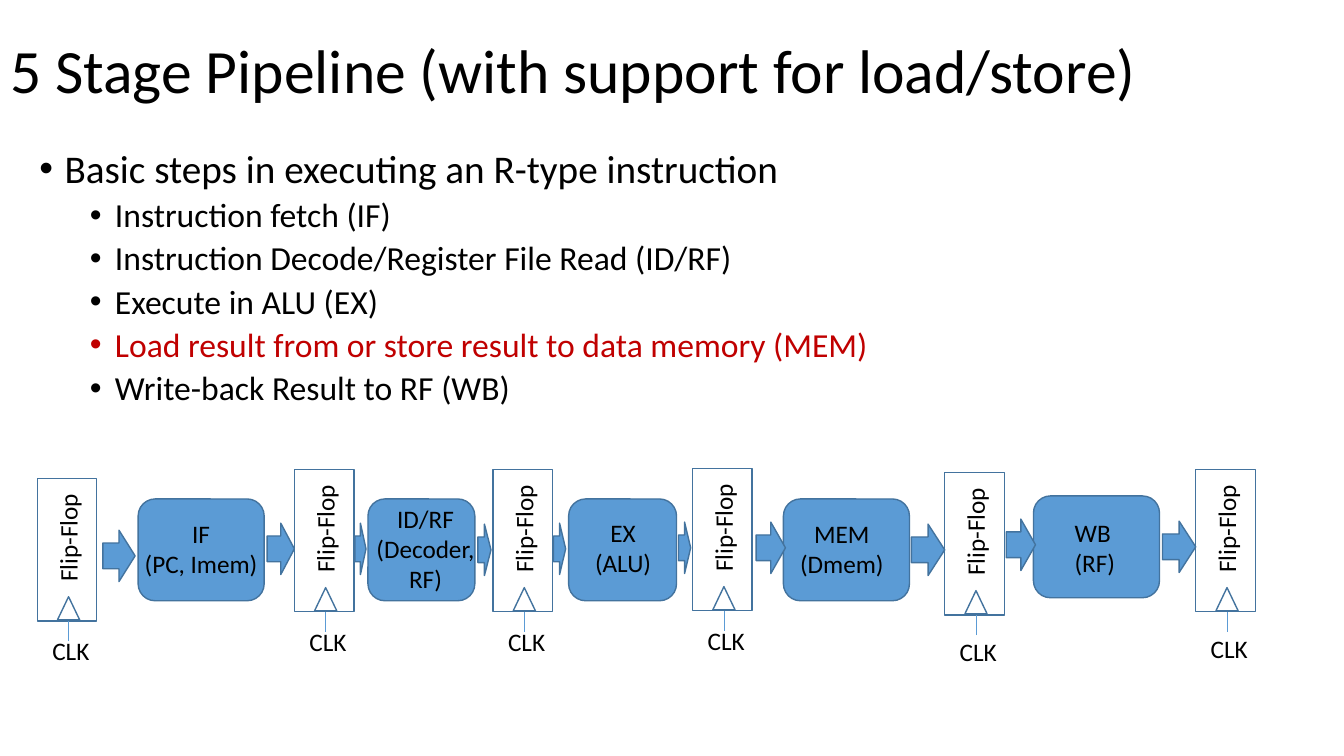
from typing import NamedTuple

from lxml import etree
from pptx import Presentation, util as u
from pptx.dml.color import RGBColor
from pptx.enum import shapes, text
from pptx.oxml.ns import qn

BLACK, RED, BLUE, EDGE = "000000", "C00000", "5B9BD5", "43739E"
FLOP_WIDTH, FLOP_HEIGHT = 0.59, 1.41
STAGE_HEIGHT, ARROW_HEIGHT, WIRE_LENGTH = 1.01, 0.51, 0.2
CENTER, LEFT = text.PP_ALIGN.CENTER, text.PP_ALIGN.LEFT


class Box(NamedTuple):
    left: float
    top: float
    width: float
    height: float


class Stage(NamedTuple):
    left: float
    top: float
    width: float
    lines: list[str]
    label: Box
    align: text.PP_ALIGN = CENTER
    wrap: bool = False


class Flop(NamedTuple):
    left: float
    top: float
    clock_top: float


class Arrow(NamedTuple):
    left: float
    top: float
    width: float


class Step(NamedTuple):
    wording: str
    level: int = 1
    color: str = BLACK


STEPS = [
    Step("Basic steps in executing an R-type instruction", level=0),
    Step("Instruction fetch (IF)"),
    Step("Instruction Decode/Register File Read (ID/RF)"),
    Step("Execute in ALU (EX)"),
    Step("Load result from or store result to data memory (MEM)", color=RED),
    Step("Write-back Result to RF (WB)"),
]
STAGES = [
    Stage(1.37, 4.95, 1.25, ["IF", "(PC, Imem)"], Box(1.33, 5.09, 1.33, 0.71)),
    Stage(3.65, 4.95, 1.06, ["ID/RF", "(Decoder, RF)"],
          Box(3.61, 4.94, 1.22, 1.01), wrap=True),
    Stage(5.64, 4.95, 1.07, ["EX", "(ALU)"], Box(5.8, 5.08, 0.76, 0.71)),
    Stage(7.77, 4.95, 1.25, ["MEM", "(Dmem)"], Box(7.83, 5.09, 1.04, 0.71)),
    Stage(10.25, 4.92, 1.25, ["WB", "(RF)"], Box(10.56, 5.08, 0.61, 0.71), LEFT),
]
FLOPS = [
    Flop(0.37, 4.75, 6.25), Flop(2.92, 4.66, 6.16), Flop(4.89, 4.66, 6.16),
    Flop(6.87, 4.65, 6.15), Flop(9.37, 4.69, 6.26), Flop(11.86, 4.66, 6.23),
]
ARROWS = [
    Arrow(1.02, 5.26, 0.32), Arrow(2.65, 5.19, 0.27), Arrow(3.52, 5.19, 0.11),
    Arrow(4.74, 5.2, 0.13), Arrow(5.49, 5.19, 0.12), Arrow(6.73, 5.18, 0.12),
    Arrow(7.5, 5.18, 0.29), Arrow(9.04, 5.2, 0.33), Arrow(9.98, 5.15, 0.29),
    Arrow(11.53, 5.17, 0.33),
]


def rgb(value: str) -> RGBColor:
    return RGBColor.from_string(value)


def apply(target, formats: dict) -> None:
    for attribute, value in formats.items():
        setattr(target, attribute, value)


def inches(box: Box) -> list[u.Length]:
    return [u.Inches(length) for length in box]


def style_font(font, size: float, color: str = BLACK) -> None:
    apply(font, {"name": "Calibri", "size": u.Pt(size), "bold": False})
    font.color.rgb = rgb(color)


def place(holder, box: Box) -> None:
    apply(holder, dict(zip(("left", "top", "width", "height"), inches(box))))


def add_part(slide, preset, box: Box, fill: str | None = None) -> None:
    part = slide.shapes.add_shape(preset, *inches(box))
    part.shadow.inherit = False
    if fill:
        part.fill.solid()
        part.fill.fore_color.rgb = rgb(fill)
    else:
        part.fill.background()
    part.line.color.rgb = rgb(EDGE)
    part.line.width = u.Pt(1)


def add_label(slide, lines: list[str], box: Box, align=LEFT,
              wrap: bool = False, rotation: float = 0) -> None:
    label = slide.shapes.add_textbox(*inches(box))
    label.rotation = rotation
    frame = label.text_frame
    frame.text = "\n".join(lines)
    apply(frame, {"word_wrap": wrap,
                  "auto_size": text.MSO_AUTO_SIZE.SHAPE_TO_FIT_TEXT})
    for paragraph in frame.paragraphs:
        paragraph.alignment = align
        style_font(paragraph.runs[0].font, 18)


def add_wire(slide, x: float, top: float) -> None:
    wire = slide.shapes.add_connector(
        shapes.MSO_CONNECTOR.STRAIGHT,
        *inches(Box(x, top + WIRE_LENGTH, x, top)))
    wire.line.color.rgb = rgb(BLUE)
    wire.line.width = u.Pt(0.5)
    etree.SubElement(wire._element.spPr, qn("a:effectLst"))


def add_stage(slide, stage: Stage) -> None:
    add_part(slide, shapes.MSO_SHAPE.ROUNDED_RECTANGLE,
             Box(stage.left, stage.top, stage.width, STAGE_HEIGHT), BLUE)
    add_label(slide, stage.lines, stage.label, stage.align, stage.wrap)


def add_flop(slide, flop: Flop) -> None:
    left, top, clock_top = flop
    add_part(slide, shapes.MSO_SHAPE.RECTANGLE,
             Box(left, top, FLOP_WIDTH, FLOP_HEIGHT))
    add_part(slide, shapes.MSO_SHAPE.ISOSCELES_TRIANGLE,
             Box(left + 0.2, top + 1.17, 0.22, 0.23))
    add_label(slide, ["Flip-Flop"], Box(left - 0.24, top + 0.38, 1.08, 0.4),
              rotation=270)
    add_wire(slide, left + 0.31, top + FLOP_HEIGHT)
    add_label(slide, ["CLK"], Box(left + 0.05, clock_top, 0.58, 0.4))


def add_bullet(paragraph, indent: float) -> None:
    properties = paragraph._p.get_or_add_pPr()
    properties.set("marL", str(u.Inches(indent)))
    properties.set("indent", str(u.Inches(-0.25)))
    etree.SubElement(properties, qn("a:buFont")).set("typeface", "Arial")
    etree.SubElement(properties, qn("a:buChar")).set("char", "•")


def fill_title(title) -> None:
    place(title, Box(0, 0, 11.5, 1.45))
    frame = title.text_frame
    frame.text = "5 Stage Pipeline (with support for load/store)"
    apply(frame, {"auto_size": text.MSO_AUTO_SIZE.NONE,
                  "vertical_anchor": text.MSO_ANCHOR.MIDDLE})
    apply(frame.paragraphs[0], {"alignment": LEFT, "line_spacing": 0.9})
    style_font(frame.paragraphs[0].runs[0].font, 44)


def fill_steps(body) -> None:
    place(body, Box(0.29, 1.43, 12.02, 4.76))
    frame = body.text_frame
    frame.text = "\n".join(step.wording for step in STEPS)
    frame.auto_size = text.MSO_AUTO_SIZE.NONE
    for paragraph, step in zip(frame.paragraphs, STEPS):
        apply(paragraph, {"level": step.level, "line_spacing": 0.9,
                          "space_before": u.Pt(5 if step.level else 10)})
        add_bullet(paragraph, 0.25 + 0.5 * step.level)
        style_font(paragraph.runs[0].font, 28 - 4 * step.level, step.color)


presentation = Presentation()
apply(presentation, {"slide_width": u.Inches(13.33),
                     "slide_height": u.Inches(7.5)})
pipeline = presentation.slides.add_slide(presentation.slide_layouts[1])
fill_title(pipeline.shapes.title)
fill_steps(pipeline.placeholders[1])
for stage in STAGES:
    add_stage(pipeline, stage)
for flop in FLOPS:
    add_flop(pipeline, flop)
for arrow in ARROWS:
    add_part(pipeline, shapes.MSO_SHAPE.RIGHT_ARROW,
             Box(*arrow, ARROW_HEIGHT), BLUE)
presentation.save("out.pptx")
